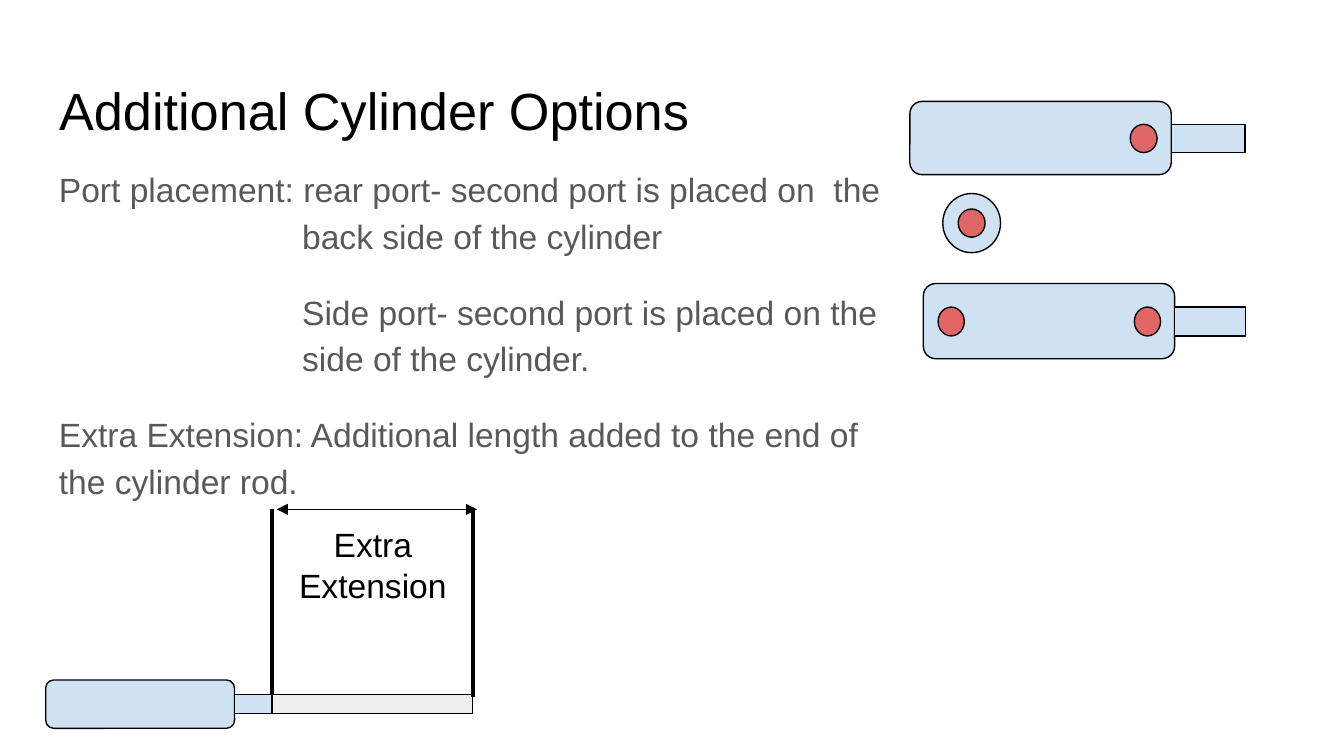
from dataclasses import dataclass

from lxml import etree
from pptx import Presentation
from pptx.dml.color import RGBColor
from pptx.enum.shapes import MSO_CONNECTOR as CONNECTOR, MSO_SHAPE as SHAPE
from pptx.enum.text import MSO_ANCHOR as ANCHOR, MSO_AUTO_SIZE as AUTO_SIZE, PP_ALIGN as ALIGN
from pptx.oxml.ns import qn
from pptx.util import Pt

PX = 4572  # 200 px to the inch


@dataclass(frozen=True)
class Theme:
    font: str = "Arial"
    title_size: int = 28
    body_size: int = 18
    black: RGBColor = RGBColor(0x00, 0x00, 0x00)
    grey: RGBColor = RGBColor(0x59, 0x59, 0x59)
    cylinder: RGBColor = RGBColor(0xCF, 0xE2, 0xF3)
    port: RGBColor = RGBColor(0xE0, 0x66, 0x66)
    extension: RGBColor = RGBColor(0xEF, 0xEF, 0xEF)


theme = Theme()

presentation = Presentation()
presentation.slide_width, presentation.slide_height = 2000 * PX, 1125 * PX
slide = presentation.slides.add_slide(presentation.slide_layouts[5])


def write(shape, texts, size=theme.body_size, color=theme.black, align=ALIGN.LEFT,
          spacing=1.0, gap=0, indents=None):
    """Fill a shape with paragraphs; indents holds (left, first line) in px."""
    frame = shape.text_frame
    frame.word_wrap = True
    frame.auto_size = AUTO_SIZE.NONE
    frame.vertical_anchor = ANCHOR.TOP
    frame.margin_left = frame.margin_right = 20 * PX
    frame.margin_top = frame.margin_bottom = 20 * PX
    for index, text in enumerate(texts):
        paragraph = frame.add_paragraph() if index else frame.paragraphs[0]
        paragraph.alignment = align
        paragraph.line_spacing = spacing
        paragraph.space_before = Pt(gap if index else 0)
        if indents:
            left, first_line = indents[index]
            properties = paragraph._p.get_or_add_pPr()
            properties.set("marL", str(left * PX))
            properties.set("indent", str(first_line * PX))
        run = paragraph.add_run()
        run.text = text
        run.font.name = theme.font
        run.font.size = Pt(size)
        run.font.color.rgb = color


# Title
title = slide.shapes.title
title.left, title.top, title.width, title.height = [n * PX for n in (68, 97, 1864, 126)]
write(title, ["Additional Cylinder Options"], size=theme.title_size)

# Explanations, with the port descriptions aligned on one indent
body = slide.shapes.add_textbox(68 * PX, 223 * PX, 1306 * PX, 346 * PX)
write(body, [
    "Port placement: rear port- second port is placed on  the back side of the cylinder",
    "Side port- second port is placed on the side of the cylinder.",
    "Extra Extension: Additional length added to the end of the cylinder rod.",
], color=theme.grey, spacing=1.15, gap=16, indents=[(362, -362), (362, 0), (0, 0)])

# Cylinder drawings, from back to front
parts = [
    # Extra extension
    (SHAPE.ROUNDED_RECTANGLE, theme.cylinder, 68, 1012, 281, 72),
    (SHAPE.RECTANGLE, theme.extension, 405, 1034, 298, 28),
    (SHAPE.RECTANGLE, theme.cylinder, 349, 1034, 56, 28),
    # Side port
    (SHAPE.ROUNDED_RECTANGLE, theme.cylinder, 1374, 422, 374, 112),
    (SHAPE.RECTANGLE, theme.cylinder, 1748, 457, 106, 43),
    (SHAPE.OVAL, theme.port, 1396, 457, 39, 43),
    (SHAPE.OVAL, theme.port, 1688, 457, 39, 43),
    # Rear port: end view, then side view
    (SHAPE.OVAL, theme.cylinder, 1403, 288, 86, 88),
    (SHAPE.OVAL, theme.port, 1426, 311, 40, 42),
    (SHAPE.ROUNDED_RECTANGLE, theme.cylinder, 1354, 151, 389, 109),
    (SHAPE.RECTANGLE, theme.cylinder, 1743, 185, 110, 42),
    (SHAPE.OVAL, theme.port, 1682, 185, 40, 42),
]
for kind, color, *box in parts:
    part = slide.shapes.add_shape(kind, *[n * PX for n in box])
    part.shadow.inherit = False
    part.fill.solid()
    part.fill.fore_color.rgb = color
    part.line.color.rgb = theme.black
    part.line.width = Pt(0.75)

# Dimension lines: two uprights and two arrows pointing outwards
dimension_lines = [
    ((405, 1034, 405, 758), 2.25, False),
    ((704, 1037, 704, 758), 2.25, False),
    ((550, 758, 412, 758), 0.75, True),
    ((550, 758, 710, 758), 0.75, True),
]
for ends, weight, has_arrow in dimension_lines:
    line = slide.shapes.add_connector(CONNECTOR.STRAIGHT, *[n * PX for n in ends])
    line.line.color.rgb = theme.black
    line.line.width = Pt(weight)
    if has_arrow:
        etree.SubElement(line.line._get_or_add_ln(), qn("a:tailEnd"), type="triangle")
    etree.SubElement(line._element.spPr, qn("a:effectLst"))

# Dimension label
label = slide.shapes.add_textbox(392 * PX, 760 * PX, 326 * PX, 112 * PX)
write(label, ["Extra Extension"], align=ALIGN.CENTER)

presentation.save("out.pptx")
